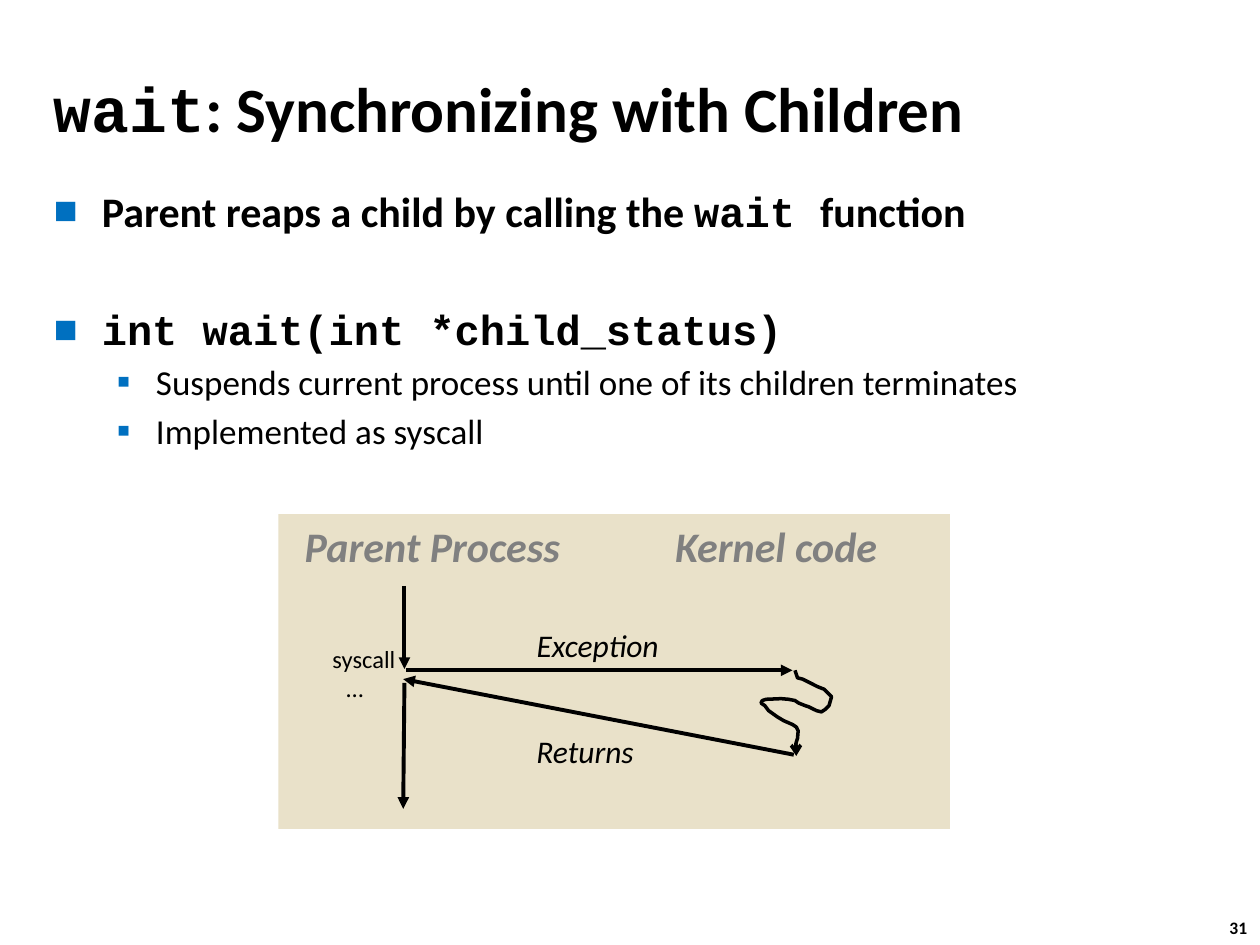
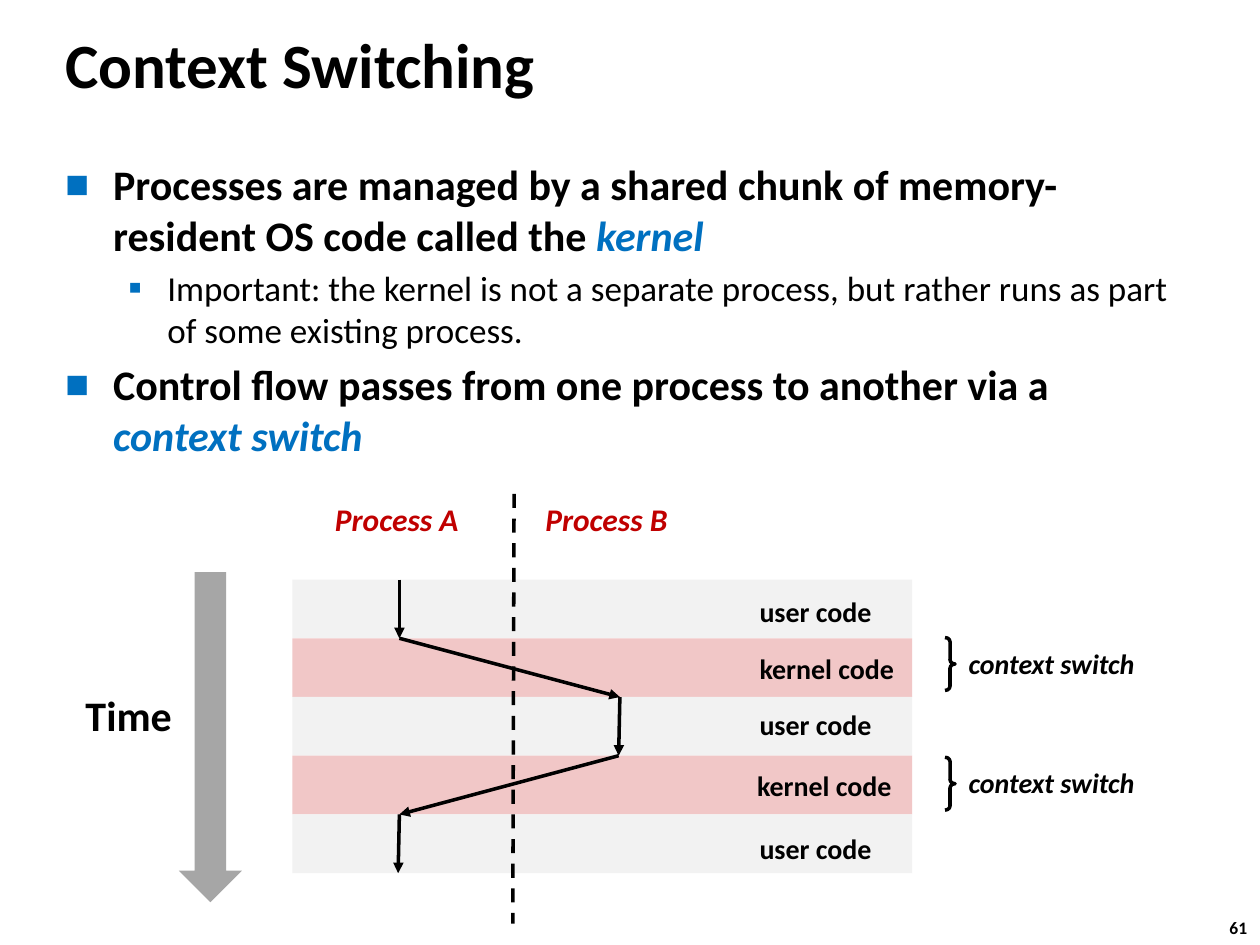
from typing import NamedTuple

from lxml.etree import SubElement
from pptx import Presentation
from pptx.dml.color import RGBColor
from pptx.enum.dml import MSO_LINE
from pptx.enum.shapes import MSO_CONNECTOR, MSO_SHAPE
from pptx.enum.text import MSO_ANCHOR
from pptx.oxml.ns import qn
from pptx.util import Emu, Inches, Pt

BLACK = RGBColor(0x00, 0x00, 0x00)
BLUE = RGBColor(0x00, 0x70, 0xC0)
RED = RGBColor(0xC0, 0x00, 0x00)
GRAY = RGBColor(0x80, 0x80, 0x80)
ARROW_GRAY = RGBColor(0xA6, 0xA6, 0xA6)
SAND = RGBColor(0xE9, 0xE1, 0xC9)
USER_BAND = RGBColor(0xF2, 0xF2, 0xF2)
KERNEL_BAND = RGBColor(0xF1, 0xC7, 0xC7)

SANS, MONO = "Calibri", "Courier New"
COLUMNS, ROWS = 100, 75
SLIDE_WIDTH, SLIDE_HEIGHT = Inches(10), Inches(7.5)


class Area(NamedTuple):
    """Place on the grid, in columns and rows."""
    column: float
    row: float
    width: float
    height: float


class Point(NamedTuple):
    column: float
    row: float


class Span(NamedTuple):
    text: str
    mono: bool = False
    accent: bool = False


class Item(NamedTuple):
    spans: list[Span]
    level: int = 0
    extra_space: float = 0


class Label(NamedTuple):
    text: str
    area: Area
    size: int
    color: RGBColor = BLACK
    bold: bool = False
    italic: bool = False


class Arrow(NamedTuple):
    start: Point
    end: Point


class BulletStyle(NamedTuple):
    size: int
    bold: bool
    symbol: str
    percent: int
    margin: float
    hanging: float


BULLETS = [BulletStyle(24, True, "■", 60, 0.38, 0.38),
           BulletStyle(20, False, "▪", 110, 0.81, 0.31)]

KERNEL_TRAIL = [Point(*pair) for pair in (
    (63.1, 53.2), (63.3, 53.8), (63.7, 53.9), (64.3, 54.2), (64.9, 54.5), (65.4, 54.7),
    (65.8, 55.1), (66, 55.3), (65.8, 56), (65.5, 56.3), (65.2, 56.5), (64.8, 56.4),
    (64.2, 56.1), (63.9, 56), (63.4, 55.8), (63.1, 55.6), (62.6, 55.5), (62, 55.45),
    (60.8, 55.5), (60.5, 55.6), (60.4, 55.8), (60.7, 56), (61, 56.4), (61.7, 56.9),
    (62.2, 57.2), (62.9, 57.5), (63.2, 57.7), (63.35, 58), (63.3, 58.6), (63.2, 58.9),
    (63.1, 59.4), (63.2, 60))]


def across(columns: float) -> Emu:
    return Emu(round(SLIDE_WIDTH * columns / COLUMNS))


def down(rows: float) -> Emu:
    return Emu(round(SLIDE_HEIGHT * rows / ROWS))


def place(area: Area) -> tuple[Emu, Emu, Emu, Emu]:
    return across(area.column), down(area.row), across(area.width), down(area.height)


def style_font(font, size: int, color=BLACK, bold=False, italic=False) -> None:
    font.name, font.size, font.bold, font.italic = SANS, Pt(size), bold, italic
    font.color.rgb = color


def add_spans(para, spans: list[Span]) -> None:
    for span in spans:
        run = para.add_run()
        run.text = span.text
        if span.mono:
            run.font.name = MONO
        if span.accent:
            run.font.italic = True
            run.font.color.rgb = BLUE


def add_label(page, label: Label) -> None:
    box = page.shapes.add_textbox(*place(label.area))
    box.text_frame.word_wrap = False
    para = box.text_frame.paragraphs[0]
    para.text = label.text
    style_font(para.font, label.size, label.color, label.bold, label.italic)


def add_title(page, area: Area, spans: list[Span]) -> None:
    frame = page.shapes.add_textbox(*place(area)).text_frame
    frame.word_wrap = True
    frame.vertical_anchor = MSO_ANCHOR.MIDDLE
    para = frame.paragraphs[0]
    style_font(para.font, 36, bold=True)
    add_spans(para, spans)


def set_bullet(para, style: BulletStyle) -> None:
    properties = para._p.get_or_add_pPr()
    properties.set("marL", str(Inches(style.margin)))
    properties.set("indent", str(-Inches(style.hanging)))
    color = SubElement(properties, qn("a:buClr"))
    SubElement(color, qn("a:srgbClr"), val=str(BLUE))
    SubElement(properties, qn("a:buSzPct"), val=str(style.percent * 1000))
    SubElement(properties, qn("a:buFont"), typeface=SANS)
    SubElement(properties, qn("a:buChar"), char=style.symbol)


def add_body(page, area: Area, items: list[Item]) -> None:
    frame = page.shapes.add_textbox(*place(area)).text_frame
    frame.word_wrap = True
    for index, item in enumerate(items):
        para = frame.add_paragraph() if index else frame.paragraphs[0]
        style = BULLETS[item.level]
        set_bullet(para, style)
        if index:
            para.space_before = Pt(0.2 * style.size + item.extra_space)
        style_font(para.font, style.size, bold=style.bold)
        add_spans(para, item.spans)


def add_block(page, kind: MSO_SHAPE, area: Area, fill: RGBColor) -> None:
    shape = page.shapes.add_shape(kind, *place(area))
    shape.shadow.inherit = False
    shape.fill.solid()
    shape.fill.fore_color.rgb = fill
    shape.line.fill.background()


def add_brace(page, area: Area) -> None:
    brace = page.shapes.add_shape(MSO_SHAPE.RIGHT_BRACE, *place(area))
    brace.shadow.inherit = False
    brace.adjustments[0] = 0.42
    brace.fill.background()
    style_line(brace, 2)


def style_line(shape, weight: float, head: str = "") -> None:
    shape.line.color.rgb = BLACK
    shape.line.width = Pt(weight)
    if head:
        SubElement(shape.line._get_or_add_ln(), qn("a:tailEnd"), type=head)


def add_line(page, line: Arrow, weight: float, head: str = "triangle"):
    connector = page.shapes.add_connector(
        MSO_CONNECTOR.STRAIGHT, across(line.start.column), down(line.start.row),
        across(line.end.column), down(line.end.row))
    style_line(connector, weight, head)
    SubElement(connector._element.spPr, qn("a:effectLst"))
    return connector


def add_trail(page, points: list[Point]) -> None:
    """Draw an open outline through the points, with an arrowhead at its end."""
    corners = [(across(point.column), down(point.row)) for point in points]
    builder = page.shapes.build_freeform(*corners[0])
    builder.add_line_segments(corners[1:], close=False)
    trail = builder.convert_to_shape()
    trail.shadow.inherit = False
    trail.fill.background()
    style_line(trail, 2, "arrow")


def add_page(deck, number: int):
    page = deck.slides.add_slide(deck.slide_layouts[6])
    add_label(page, Label(str(number), Area(96.6, 72.3, 3.7, 2.7), 10, bold=True))
    return page


def build_wait_page(deck) -> None:
    page = add_page(deck, 31)
    add_title(page, Area(3.3, 5.4, 90.8, 6.3),
              [Span("wait", mono=True), Span(": Synchronizing with Children")])
    add_body(page, Area(3.3, 14.2, 90.3, 24.2), [
        Item([Span("Parent reaps a child by calling the "), Span("wait ", mono=True),
              Span("function")]),
        Item([Span("int wait(int *child_status)", mono=True)], extra_space=34),
        Item([Span("Suspends current process until one of its children terminates")], 1),
        Item([Span("Implemented as syscall")], 1)])

    add_block(page, MSO_SHAPE.RECTANGLE, Area(22.1, 40.8, 53.3, 25), SAND)
    for label in (
            Label("Parent Process", Area(23.2, 40.8, 22.4, 5), 24, GRAY, True, True),
            Label("Kernel code", Area(52.6, 40.8, 19.5, 5), 24, GRAY, True, True),
            Label("Exception", Area(41.6, 49.2, 12.5, 4), 18, italic=True),
            Label("Returns", Area(41.6, 57.6, 10, 4), 18, italic=True),
            Label("syscall", Area(25.4, 50.6, 7.1, 3.4), 14),
            Label("…", Area(26.5, 52.9, 3.5, 3.4), 14)):
        add_label(page, label)
    for arrow in (Arrow(Point(32.1, 46.5), Point(32.1, 53.1)),
                  Arrow(Point(32.2, 53.2), Point(62.9, 53.2)),
                  Arrow(Point(63, 59.9), Point(32, 53.9)),
                  Arrow(Point(32.1, 54.2), Point(32, 64.2))):
        add_line(page, arrow, 2.25)
    add_trail(page, KERNEL_TRAIL)


def build_context_page(deck) -> None:
    page = add_page(deck, 61)
    add_title(page, Area(4.2, 1.9, 63.9, 6.3), [Span("Context Switching")])
    add_body(page, Area(4.2, 12.1, 90.7, 27.9), [
        Item([Span("Processes are managed by a shared chunk of memory-resident OS code "
                   "called the "), Span("kernel", accent=True)]),
        Item([Span("Important: the kernel is not a separate process, but rather runs "
                   "as part of some existing process.")], 1),
        Item([Span("Control flow passes from one process to another via a "),
              Span("context switch", accent=True)])])

    band_top, band_height = 46, 4.66
    edges = [band_top + band_height * index for index in range(6)]
    label_places = [Point(59.3, 46.7), Point(59.3, 51.2), Point(59.3, 55.7),
                    Point(59.1, 60.5), Point(59.3, 65.5)]
    for index, spot in enumerate(label_places):
        in_kernel = index % 2 == 1
        add_block(page, MSO_SHAPE.RECTANGLE, Area(23.2, edges[index], 49.2, band_height),
                  KERNEL_BAND if in_kernel else USER_BAND)
        text, width = ("kernel code", 12.8) if in_kernel else ("user code", 11)
        add_label(page, Label(text, Area(*spot, width, 3.7), 16, bold=True))
    for top in (50.6, 60.1):
        add_brace(page, Area(75, top, 0.8, 4.2))
        add_label(page, Label("context switch", Area(75.9, top + 0.2, 15.4, 3.7), 16,
                              bold=True, italic=True))

    for name, column in (("Process A", 25.6), ("Process B", 42.3)):
        add_label(page, Label(name, Area(column, 39.2, 12, 4), 18, RED, True, True))
    add_label(page, Label("Time", Area(5.8, 54.2, 8.9, 5), 24, bold=True))
    add_block(page, MSO_SHAPE.DOWN_ARROW, Area(14.2, 45.4, 5, 26.2), ARROW_GRAY)

    divider = add_line(page, Arrow(Point(40.8, 39.2), Point(40.7, 73.3)), 2, head="")
    divider.line.dash_style = MSO_LINE.DASH
    stops = [Point(column, edge)
             for column, edge in zip((31.7, 31.7, 49.2, 49.1, 31.7, 31.6), edges)]
    for start, end in zip(stops, stops[1:]):
        add_line(page, Arrow(start, end), 2)


def main() -> None:
    deck = Presentation()
    deck.slide_width, deck.slide_height = SLIDE_WIDTH, SLIDE_HEIGHT
    build_wait_page(deck)
    build_context_page(deck)
    deck.save("out.pptx")


if __name__ == "__main__":
    main()
